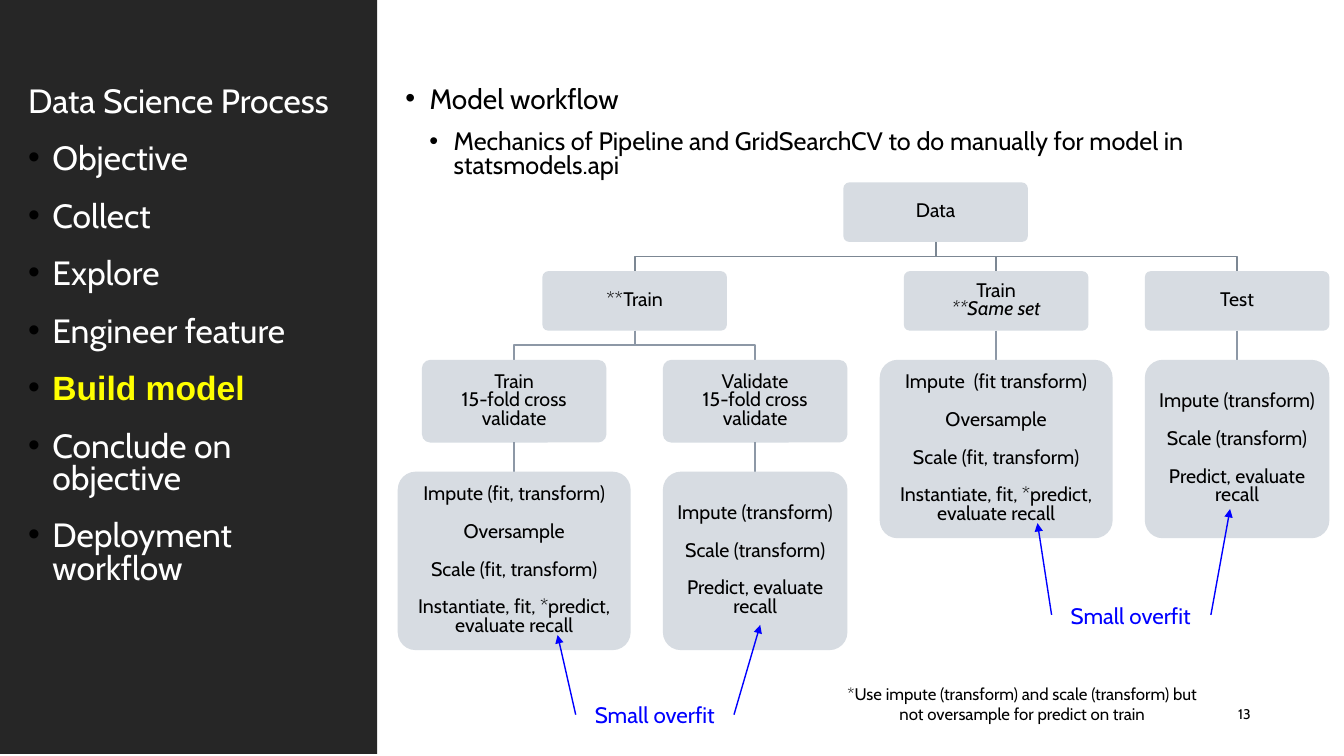
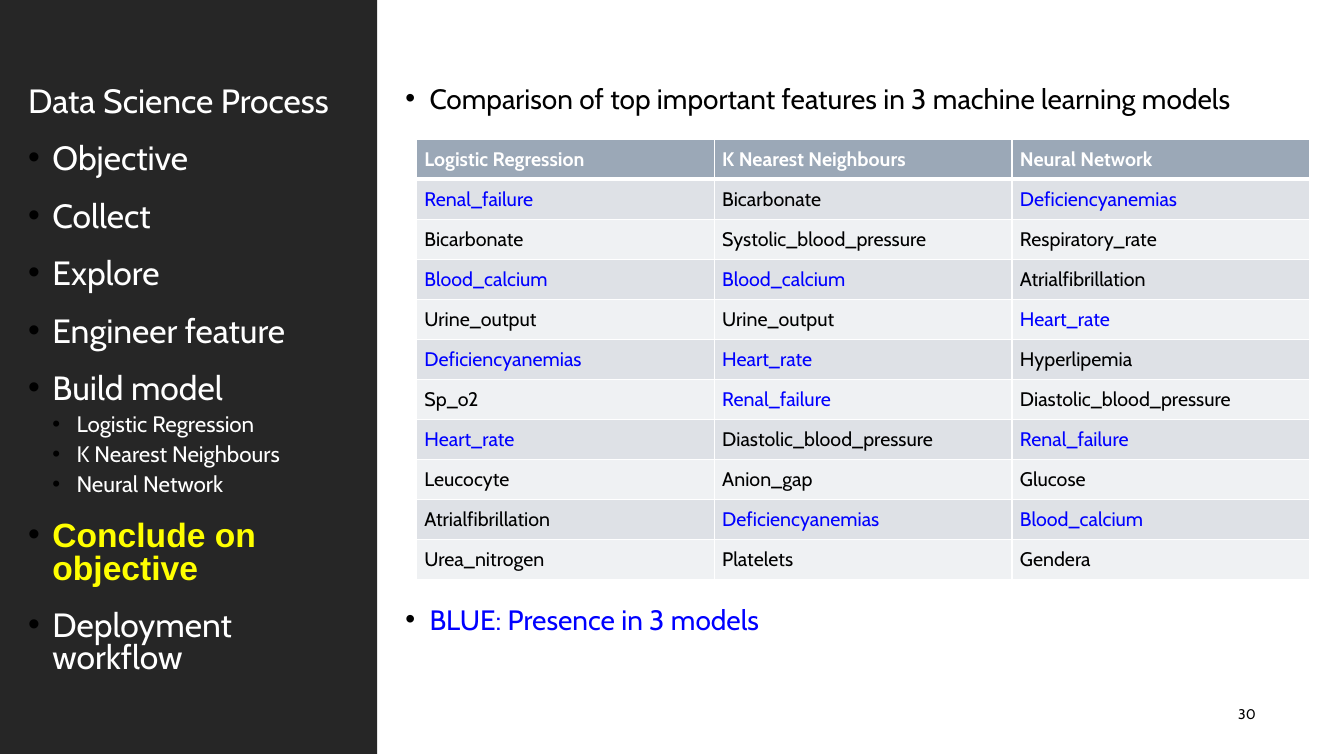
from dataclasses import dataclass
from typing import Optional, Sequence

import pptx
import pptx.dml.color
import pptx.enum.shapes
import pptx.enum.text
import pptx.oxml
import pptx.oxml.ns
import pptx.util

Inches, Pt = pptx.util.Inches, pptx.util.Pt
RGB = pptx.dml.color.RGBColor.from_string
ALIGN, ANCHOR = pptx.enum.text.PP_ALIGN, pptx.enum.text.MSO_ANCHOR
SHAPE, LINE = pptx.enum.shapes.MSO_SHAPE, pptx.enum.shapes.MSO_CONNECTOR

COLORS = {
    "black": "000000", "white": "FFFFFF", "band": "262626", "yellow": "FFFF00",
    "blue": "0000FF", "node": "D7DCE2", "branch": "7C8793", "twig": "8D98A6",
    "header": "9BA8B7", "odd": "DEE1E6", "even": "EFF1F3",
}
STEPS = ["Objective", "Collect", "Explore", "Engineer feature", "Build model",
         "Conclude on objective", "Deployment workflow"]


@dataclass
class Para:
    text: str
    size: float = 14
    color: str = "black"
    font: str = "Cabin"
    bold: bool = False
    italic: bool = False
    bullet: bool = False
    level: int = 0
    after: float = 0


@dataclass
class Node:
    center: float
    top: float
    width: float
    height: float
    lines: Sequence[Para]
    parent: Optional[int] = None


# Helpers
def add_xml(parent, tag: str, body: str = "", **attrs) -> None:
    """Append one DrawingML element to parent."""
    text = "".join(f' {k}="{v}"' for k, v in attrs.items())
    ns = pptx.oxml.ns.nsdecls("a")
    parent.append(pptx.oxml.parse_xml(f"<a:{tag} {ns}{text}>{body}</a:{tag}>"))


def solid(color: str) -> str:
    return f'<a:solidFill><a:srgbClr val="{COLORS[color]}"/></a:solidFill>'


def write(tf, paras: Sequence[Para], align=ALIGN.LEFT, anchor=ANCHOR.TOP,
          inset: float = 0.08, spacing: float = 0.8) -> None:
    frame = {"word_wrap": True, "vertical_anchor": anchor,
             "auto_size": pptx.enum.text.MSO_AUTO_SIZE.NONE}
    frame |= {f"margin_{side}": Inches(inset) for side in ("left", "top", "right", "bottom")}
    for name, value in frame.items():
        setattr(tf, name, value)
    for i, para in enumerate(paras):
        p = tf.add_paragraph() if i else tf.paragraphs[0]
        layout = {"alignment": align, "level": para.level, "line_spacing": spacing,
                  "space_before": Pt(0), "space_after": Pt(para.after)}
        for name, value in layout.items():
            setattr(p, name, value)
        if para.bullet:
            pPr = p._p.get_or_add_pPr()
            pPr.set("marL", str(Inches(0.24 * (para.level + 1))))
            pPr.set("indent", str(-Inches(0.24)))
            add_xml(pPr, "buClr", f'<a:srgbClr val="{COLORS["black"]}"/>')
            add_xml(pPr, "buFont", typeface="Arial")
            add_xml(pPr, "buChar", char="•")
        r = p.add_run()
        r.text = para.text
        style = {"size": Pt(para.size), "name": para.font,
                 "bold": para.bold, "italic": para.italic}
        for name, value in style.items():
            setattr(r.font, name, value)
        r.font.color.rgb = RGB(COLORS[para.color])


def add_text(s, x: float, y: float, w: float, h: float, paras: Sequence[Para], **fmt) -> None:
    sp = s.shapes.add_textbox(Inches(x), Inches(y), Inches(w), Inches(h))
    write(sp.text_frame, paras, **fmt)


def add_box(s, shape, x: float, y: float, w: float, h: float, color: str):
    sp = s.shapes.add_shape(shape, Inches(x), Inches(y), Inches(w), Inches(h))
    sp.shadow.inherit = False
    sp.fill.solid()
    sp.fill.fore_color.rgb = RGB(COLORS[color])
    sp.line.fill.background()
    return sp


def add_line(s, x1: float, y1: float, x2: float, y2: float, color: str,
             width: float, arrow: bool = False) -> None:
    sp = s.shapes.add_connector(LINE.STRAIGHT, Inches(x1), Inches(y1), Inches(x2), Inches(y2))
    sp.line.color.rgb = RGB(COLORS[color])
    sp.line.width = Pt(width)
    if arrow:
        add_xml(sp.line._get_or_add_ln(), "tailEnd", type="triangle")
    add_xml(sp._element.spPr, "effectLst")


# Shared slide frame
def add_band(s) -> None:
    """Put the dark side band on the layout that s uses."""
    sp = add_box(s, SHAPE.RECTANGLE, 0, 0, 3.74, 7.48, "band")
    s.slide_layout.shapes.element.insert(2, sp.element)


def add_slide(prs, number: int, active: str, details: Sequence[str] = ()):
    s = prs.slides.add_slide(prs.slide_layouts[5])
    title = s.shapes.title
    place = {"left": 0.2, "top": 0.79, "width": 3.35, "height": 0.55}
    for name, value in place.items():
        setattr(title, name, Inches(value))
    write(title.text_frame, [Para("Data Science Process", 24, "white")])

    outline = []
    for step in STEPS:
        look = ({"color": "yellow", "font": "Arial", "bold": True} if step == active
                else {"color": "white"})
        subs = details if step == "Build model" else ()
        outline.append(Para(step, 24, bullet=True, after=6 if subs else 18, **look))
        outline += [Para(sub, 16, "white", bullet=True, level=1,
                         after=18 if sub == subs[-1] else 6) for sub in subs]
    add_text(s, 0.2, 1.36, 3.35, 5.34, outline)
    add_text(s, 12.2, 6.89, 0.79, 0.39, [Para(str(number), 10)],
             anchor=ANCHOR.MIDDLE, spacing=1)
    return s


# Workflow tree
def spaced(*texts: str) -> list[Para]:
    return [Para(t, after=0 if t == texts[-1] else 13.5) for t in texts]


def workflow_nodes() -> list[Node]:
    cols = [5.1 + 2.39 * i for i in range(4)]
    rows = [1.81, 2.69, 3.57, 4.68]
    small, tall, wide, narrow = 0.59, 1.77, 2.31, 1.83
    fit_end = "Instantiate, fit, *predict, evaluate recall"
    apply = spaced("Impute (transform)", "Scale (transform)", "Predict, evaluate recall")

    def fold(name: str) -> list[Para]:
        return [Para(name), Para("15-fold cross validate")]

    return [
        Node(9.28, rows[0], narrow, small, [Para("Data")]),
        Node((cols[0] + cols[1]) / 2, rows[1], narrow, small, [Para("**Train")], 0),
        Node(cols[2], rows[1], narrow, small,
             [Para("Train"), Para("**Same set", italic=True)], 0),
        Node(cols[3], rows[1], narrow, small, [Para("Test")], 0),
        Node(cols[0], rows[2], narrow, 0.82, fold("Train"), 1),
        Node(cols[1], rows[2], narrow, 0.82, fold("Validate"), 1),
        Node(cols[2], rows[2], wide, tall,
             spaced("Impute  (fit transform)", "Oversample", "Scale (fit, transform)", fit_end), 2),
        Node(cols[3], rows[2], narrow, tall, apply, 3),
        Node(cols[0], rows[3], wide, tall,
             spaced("Impute (fit, transform)", "Oversample", "Scale (fit, transform)", fit_end), 4),
        Node(cols[1], rows[3], narrow, tall, apply, 5),
    ]


def add_branch(s, parent: Node, child: Node, color: str) -> None:
    x1, y1, x2, y2 = parent.center, parent.top + parent.height, child.center, child.top
    if x1 == x2:
        add_line(s, x1, y1, x2, y2, color, 1.25)
        return
    mid = (y1 + y2) / 2
    fb = s.shapes.build_freeform(Inches(x1), Inches(y1))
    fb.add_line_segments([(Inches(x), Inches(y)) for x, y in ((x1, mid), (x2, mid), (x2, y2))],
                         close=False)
    sp = fb.convert_to_shape()
    sp.shadow.inherit = False
    sp.fill.background()
    sp.line.color.rgb = RGB(COLORS[color])
    sp.line.width = Pt(1.25)


def add_tree(s, nodes: Sequence[Node]) -> None:
    for node in nodes:
        if node.parent is not None:
            add_branch(s, nodes[node.parent], node, "twig" if node.parent else "branch")
        sp = add_box(s, SHAPE.ROUNDED_RECTANGLE, node.center - node.width / 2, node.top,
                     node.width, node.height, "node")
        sp.adjustments[0] = 0.1
        write(sp.text_frame, node.lines, ALIGN.CENTER, ANCHOR.MIDDLE, 0.04)


def workflow_slide(prs) -> None:
    s = add_slide(prs, 13, "Build model")
    add_band(s)
    add_text(s, 3.94, 0.79, 9.06, 1.0, [
        Para("Model workflow", 20, bullet=True, after=12),
        Para("Mechanics of Pipeline and GridSearchCV to do manually for model in statsmodels.api",
             18, bullet=True, level=1)])
    add_tree(s, workflow_nodes())

    # Overfit notes and arrows
    note = {"align": ALIGN.CENTER, "anchor": ANCHOR.MIDDLE, "inset": 0.04, "spacing": 1}
    for x, y in ((5.71, 6.89), (10.43, 5.91)):
        add_text(s, x, y, 1.57, 0.39, [Para("Small overfit", 16, "blue")], **note)
    for ends in ((7.28, 7.09, 7.54, 6.2), (5.71, 7.09, 5.53, 6.3),
                 (10.43, 6.1, 10.29, 5.19), (12.01, 6.1, 12.2, 5.05)):
        add_line(s, *ends, "blue", 1, arrow=True)
    add_text(s, 8.27, 6.69, 3.74, 0.59, [
        Para("*Use impute (transform) and scale (transform) but not oversample "
             "for predict on train", 12)], **note)


# Feature comparison
FEATURES = {
    "Logistic Regression": [
        "Renal_failure", "Bicarbonate", "Blood_calcium", "Urine_output", "Deficiencyanemias",
        "Sp_o2", "Heart_rate", "Leucocyte", "Atrialfibrillation", "Urea_nitrogen"],
    "K Nearest Neighbours": [
        "Bicarbonate", "Systolic_blood_pressure", "Blood_calcium", "Urine_output", "Heart_rate",
        "Renal_failure", "Diastolic_blood_pressure", "Anion_gap", "Deficiencyanemias",
        "Platelets"],
    "Neural Network": [
        "Deficiencyanemias", "Respiratory_rate", "Atrialfibrillation", "Heart_rate",
        "Hyperlipemia", "Diastolic_blood_pressure", "Renal_failure", "Glucose",
        "Blood_calcium", "Gendera"],
}


def add_features(s) -> None:
    shared = set.intersection(*map(set, FEATURES.values()))
    rows = [list(FEATURES), *zip(*FEATURES.values())]
    frame = s.shapes.add_table(len(rows), len(FEATURES), Inches(4.13), Inches(1.38),
                               Inches(8.86), Inches(0.39 * len(rows)))
    for i, row in enumerate(rows):
        for j, text in enumerate(row):
            cell = frame.table.cell(i, j)
            widths = {"lnL": 1, "lnR": 1, "lnT": 3 if i == 1 else 1, "lnB": 1 if i else 3}
            for tag, width in widths.items():
                add_xml(cell._tc.get_or_add_tcPr(), tag, solid("white"), w=Pt(width))
            cell.fill.solid()
            fill = "header" if i == 0 else "odd" if i % 2 else "even"
            cell.fill.fore_color.rgb = RGB(COLORS[fill])
            color = "white" if i == 0 else "blue" if text in shared else "black"
            write(cell.text_frame, [Para(text, color=color, bold=i == 0)], spacing=1)
            for side in ("left", "top", "right", "bottom"):
                setattr(cell, f"margin_{side}", Inches(0.08))


def comparison_slide(prs) -> None:
    s = add_slide(prs, 30, "Conclude on objective", list(FEATURES))
    for y, text, color in (
            (0.79, "Comparison of top important features in 3 machine learning models", "black"),
            (5.96, "BLUE: Presence in 3 models", "blue")):
        add_text(s, 3.94, y, 9.06, 0.5, [Para(text, 20, color, bullet=True)])
    add_features(s)


def main() -> None:
    prs = pptx.Presentation()
    prs.slide_width, prs.slide_height = Inches(13.33), Inches(7.5)
    workflow_slide(prs)
    comparison_slide(prs)
    prs.save("out.pptx")


if __name__ == "__main__":
    main()
